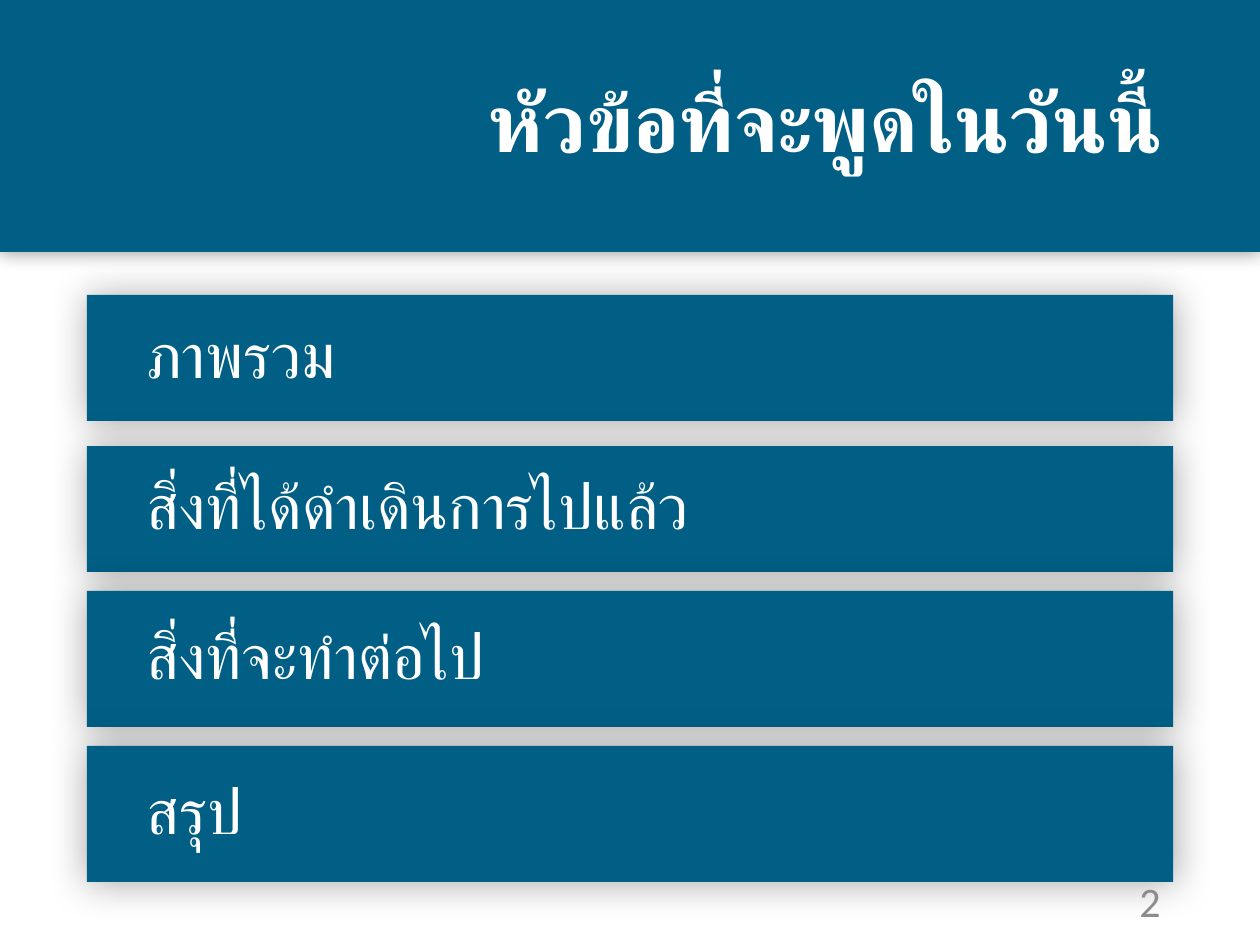
from lxml.etree import SubElement
from pptx import Presentation
from pptx.dml.color import RGBColor
from pptx.enum.shapes import MSO_SHAPE
from pptx.enum.text import MSO_ANCHOR, MSO_AUTO_SIZE, PP_ALIGN
from pptx.oxml.ns import qn
from pptx.util import Inches, Pt

TEAL = RGBColor(0x01, 0x5F, 0x85)
WHITE = RGBColor(0xFF, 0xFF, 0xFF)
GRAY = RGBColor(0x8C, 0x8C, 0x8C)

TOPICS = [
    ("ภาพรวม", 2.34, 1),
    ("สิ่งที่ได้ดำเดินการไปแล้ว", 3.54, 1),
    ("สิ่งที่จะทำต่อไป", 4.69, 1.08),
    ("สรุป", 5.92, 1.08),
]


def write_text(shape, text, size, color, font="Roboto", bold=False,
               align=PP_ALIGN.LEFT, left=0.1, right=0.1, line_spacing=1.0, before=0):
    frame = shape.text_frame
    frame.word_wrap = True
    frame.auto_size = MSO_AUTO_SIZE.NONE
    frame.vertical_anchor = MSO_ANCHOR.MIDDLE
    frame.margin_left, frame.margin_right = Inches(left), Inches(right)
    paragraph = frame.paragraphs[0]
    paragraph.alignment = align
    paragraph.line_spacing = line_spacing
    paragraph.space_before = Pt(before)
    run = paragraph.add_run()
    run.text = text
    run.font.size = Pt(size)
    run.font.bold = bold
    run.font.color.rgb = color
    run.font.name = font
    properties = run._r.get_or_add_rPr()
    for script in ("a:ea", "a:cs"):
        SubElement(properties, qn(script), typeface=font)


def style_panel(shape, blur, opacity):
    shape.fill.solid()
    shape.fill.fore_color.rgb = TEAL
    shape.line.fill.background()
    shape.shadow.inherit = False
    effects = shape._element.spPr.find(qn("a:effectLst"))
    shadow = SubElement(effects, qn("a:outerShdw"), blurRad=str(Pt(blur)),
                        dist="0", dir="0", algn="ctr", rotWithShape="0")
    color = SubElement(shadow, qn("a:srgbClr"), val="000000")
    SubElement(color, qn("a:alpha"), val=str(opacity * 1000))


def add_title(slide, text):
    title = slide.shapes.title
    title.left, title.top = Inches(0), Inches(0)
    title.width, title.height = Inches(10), Inches(2)
    style_panel(title, blur=10, opacity=40)
    write_text(title, text, size=46.8, color=WHITE, bold=True,
               align=PP_ALIGN.RIGHT, right=0.77, line_spacing=0.9)


def add_topic(slide, text, top, height):
    bar = slide.shapes.add_shape(MSO_SHAPE.RECTANGLE, Inches(0.69), Inches(top),
                                 Inches(8.62), Inches(height))
    style_panel(bar, blur=22, opacity=35)
    write_text(bar, text, size=36, color=WHITE, left=0.47, line_spacing=0.9, before=10)


def add_page_number(slide, number):
    box = slide.shapes.add_textbox(Inches(7.06), Inches(6.95), Inches(2.25), Inches(0.4))
    write_text(box, number, size=24, color=GRAY, font="Calibri", align=PP_ALIGN.RIGHT)


def main():
    presentation = Presentation()
    presentation.slide_width, presentation.slide_height = Inches(10), Inches(7.5)
    slide = presentation.slides.add_slide(presentation.slide_layouts[5])
    add_title(slide, "หัวข้อที่จะพูดในวันนี้")
    for text, top, height in TOPICS:
        add_topic(slide, text, top, height)
    add_page_number(slide, "2")
    presentation.save("out.pptx")


if __name__ == "__main__":
    main()
